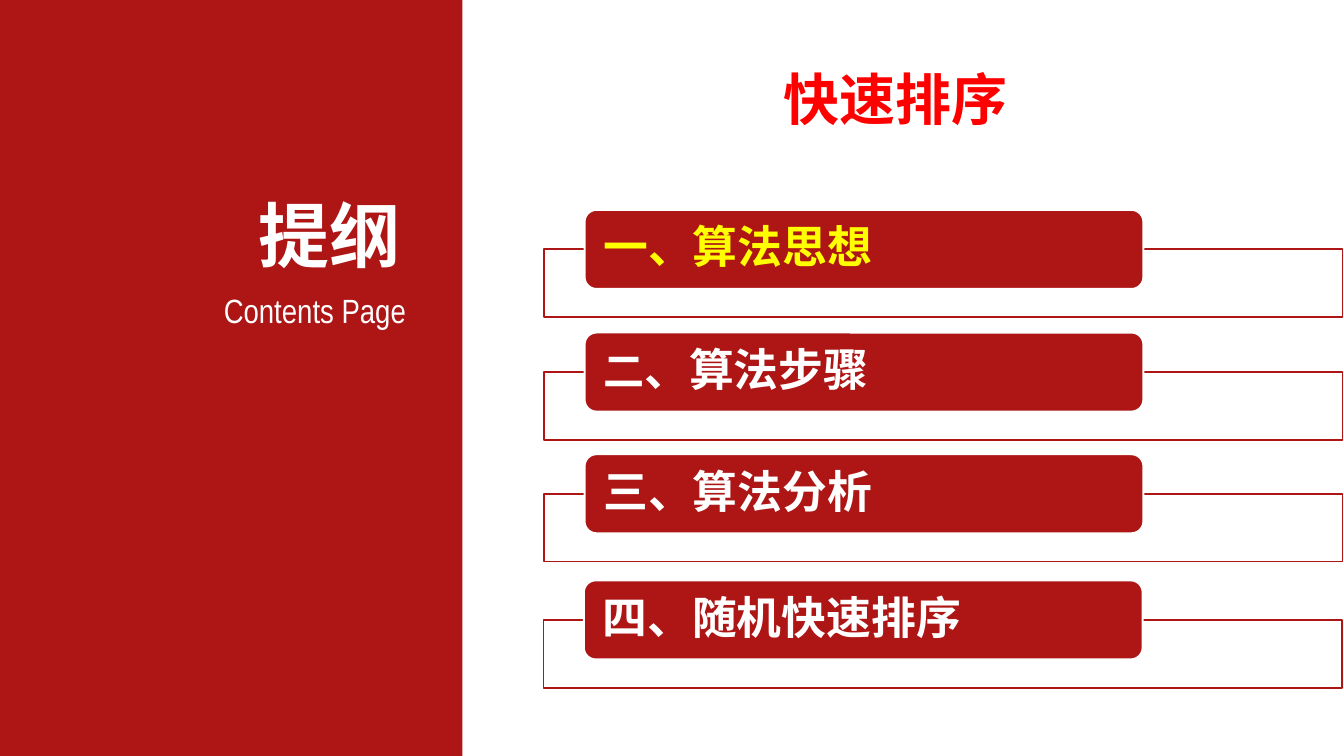
from lxml.etree import SubElement
from pptx import Presentation
from pptx.dml.color import RGBColor
from pptx.enum.shapes import MSO_SHAPE as Shape
from pptx.enum.text import MSO_ANCHOR as Anchor, MSO_AUTO_SIZE as AutoSize, PP_ALIGN as Align
from pptx.oxml.ns import qn
from pptx.util import Pt

RED, WHITE, YELLOW, BRIGHT_RED = "AE1616", "FFFFFF", "FFFF00", "FF0000"
CJK = "Noto Sans CJK SC"


def color(value):
    return RGBColor.from_string(value)


class OutlineSlide:
    def __init__(self, presentation):
        self.slide = presentation.slides.add_slide(presentation.slide_layouts[5])

    def format_font(self, paragraph, name, size, fill, bold=True):
        font = paragraph.font
        font.name, font.size, font.bold = name, Pt(size), bold
        font.color.rgb = color(fill)
        properties = paragraph._p.pPr.find(qn("a:defRPr"))
        SubElement(properties, qn("a:ea")).set("typeface", CJK)

    def box(self, kind, bounds, fill, line=None):
        shape = self.slide.shapes.add_shape(kind, *map(Pt, bounds))
        shape.shadow.inherit = False
        shape.fill.solid()
        shape.fill.fore_color.rgb = color(fill)
        if line:
            shape.line.color.rgb = color(line)
            shape.line.width = Pt(1)
        else:
            shape.line.fill.background()
        return shape

    def title(self, text, bounds):
        shape = self.slide.shapes.title
        shape.left, shape.top, shape.width, shape.height = map(Pt, bounds)
        frame = shape.text_frame
        frame.auto_size = AutoSize.NONE
        frame.vertical_anchor = Anchor.MIDDLE
        paragraph = frame.paragraphs[0]
        paragraph.text = text
        paragraph.alignment = Align.CENTER
        paragraph.line_spacing = 1.5
        self.format_font(paragraph, "Arial", 30, BRIGHT_RED)

    def label(self, text, bounds, name, size, bold):
        frame = self.slide.shapes.add_textbox(*map(Pt, bounds)).text_frame
        frame.word_wrap = True
        frame.auto_size = AutoSize.SHAPE_TO_FIT_TEXT
        frame.margin_left = frame.margin_right = Pt(5)
        frame.margin_top = frame.margin_bottom = Pt(2.7)
        paragraph = frame.paragraphs[0]
        paragraph.text = text
        paragraph.alignment = Align.RIGHT
        self.format_font(paragraph, name, size, WHITE, bold)

    def section(self, left, top, runs, fill):
        frame_box = self.box(Shape.RECTANGLE, (left, top + 21.1, 427.7, 36.3), WHITE, RED)
        fill_color = frame_box.fill._xPr.find(qn("a:solidFill"))[0]
        SubElement(fill_color, qn("a:alpha")).set("val", "90000")

        bar = self.box(Shape.ROUNDED_RECTANGLE, (left + 21.6, top, 299.3, 42.3), RED, WHITE)
        bar.adjustments[0] = 0.15
        frame = bar.text_frame
        frame.word_wrap = True
        frame.vertical_anchor = Anchor.MIDDLE
        frame.margin_left = frame.margin_right = Pt(8.2)
        frame.margin_top = frame.margin_bottom = 0
        paragraph = frame.paragraphs[0]
        paragraph.alignment = Align.LEFT
        paragraph.line_spacing = 0.9
        paragraph.space_after = Pt(8.4)
        self.format_font(paragraph, runs[0][1], 24, fill)
        for text, name, size in runs:
            run = paragraph.add_run()
            run.text = text
            run.font.name, run.font.size = name, Pt(size)


def main():
    presentation = Presentation()
    presentation.slide_width, presentation.slide_height = Pt(720), Pt(405)
    outline = OutlineSlide(presentation)
    outline.title("快速排序", (247.7, 0, 464.4, 87.1))
    outline.box(Shape.RECTANGLE, (0, 0, 247.7, 405), RED)
    outline.label("Contents Page", (24.5, 152.6, 198, 27.4), "Arial Narrow", 18, False)
    outline.label("提纲", (79.2, 100.1, 140.4, 51.8), "Arial", 38, True)
    sections = [
        (291.6, 112.5, [("一、算法思想", "Roboto", 24)], YELLOW),
        (291.6, 178.2, [("二", CJK, 22), ("、算法步骤", CJK, 24)], WHITE),
        (291.6, 243.4, [("三、算法分析", CJK, 24)], WHITE),
        (291.2, 311, [("四、", CJK, 24), ("随机快速排序", "Roboto", 24)], WHITE),
    ]
    for section in sections:
        outline.section(*section)
    presentation.save("out.pptx")


if __name__ == "__main__":
    main()
